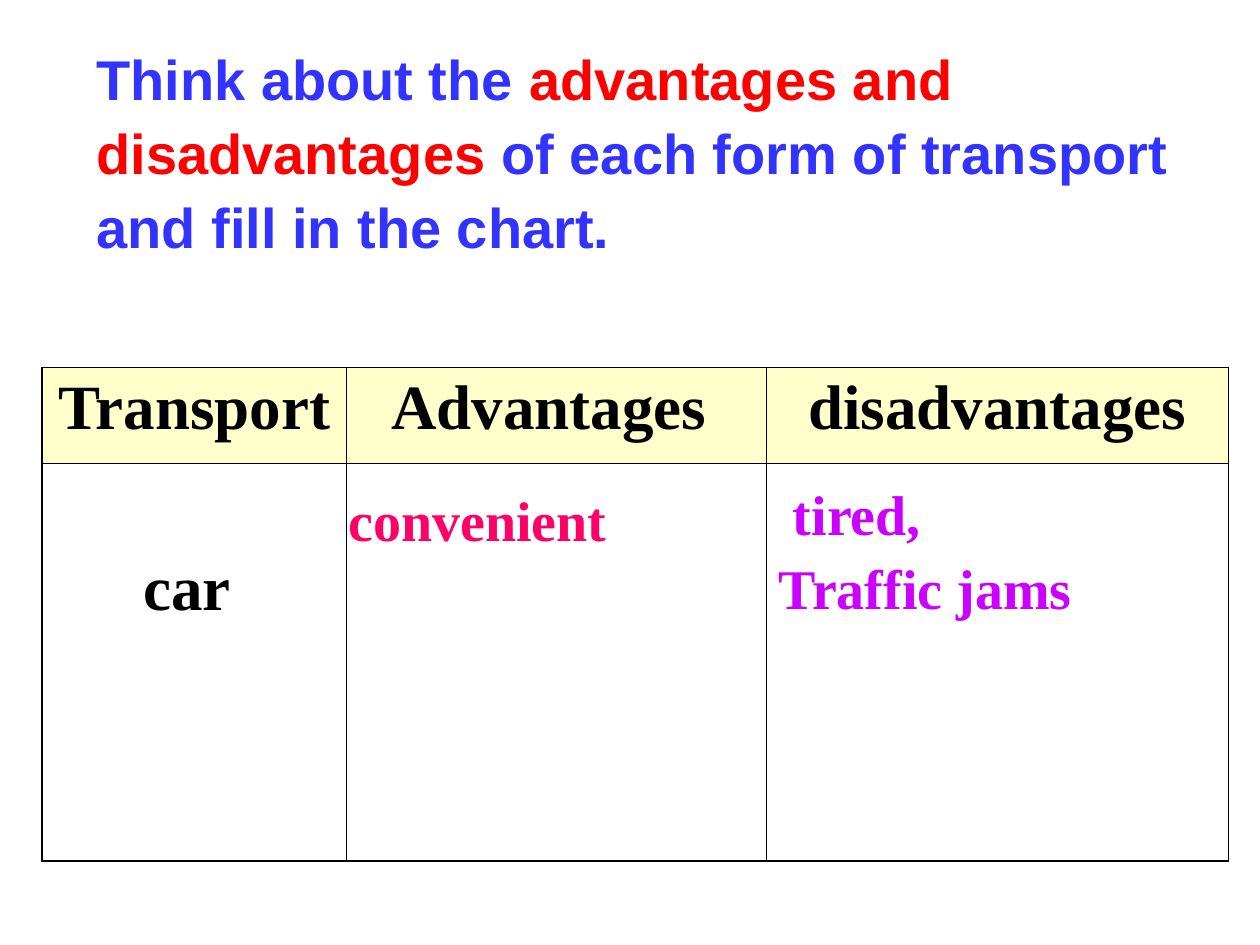
from lxml import etree
from pptx import Presentation
from pptx import util as u
from pptx.dml.color import RGBColor
from pptx.enum import text
from pptx.oxml.ns import qn

BLACK = RGBColor(0x00, 0x00, 0x00)
BLUE = RGBColor(0x33, 0x33, 0xFF)
RED = RGBColor(0xFF, 0x00, 0x00)
PINK = RGBColor(0xFF, 0x00, 0x66)
PURPLE = RGBColor(0xCC, 0x00, 0xFF)
CREAM = RGBColor(0xFF, 0xFF, 0xCC)

SANS, SERIF = "Arial", "Times New Roman"
OUTER, INNER = 1.08, 0.45
COLUMN_WIDTHS = [174, 240, 264]
ROW_HEIGHTS = [54.75, 227.25]
HEADERS = ["Transport ", "Advantages ", "disadvantages"]


def add_span(para, wording, font, size, color):
    span = para.add_run()
    span.text = wording
    span.font.name = font
    span.font.size = u.Pt(size)
    span.font.bold = True
    span.font.color.rgb = color


def add_text(slide, left, top, width, height, paragraphs, font, hanging=0):
    box = slide.shapes.add_textbox(u.Pt(left), u.Pt(top), u.Pt(width), u.Pt(height))
    frame = box.text_frame
    frame.word_wrap = True
    frame.auto_size = text.MSO_AUTO_SIZE.SHAPE_TO_FIT_TEXT
    for index, spans in enumerate(paragraphs):
        para = frame.add_paragraph() if index else frame.paragraphs[0]
        para.line_spacing = 1.1
        if hanging:
            properties = para._p.get_or_add_pPr()
            properties.set("marL", str(u.Pt(hanging)))
            properties.set("indent", str(-u.Pt(hanging)))
        for wording, color in spans:
            add_span(para, wording, font, 32, color)


def set_borders(cell, widths):
    properties = cell._tc.get_or_add_tcPr()
    for index, (side, width) in enumerate(zip(("lnL", "lnR", "lnT", "lnB"), widths)):
        line = etree.Element(qn(f"a:{side}"), w=str(u.Pt(width)))
        fill = etree.SubElement(line, qn("a:solidFill"))
        etree.SubElement(fill, qn("a:srgbClr"), val=str(BLACK))
        properties.insert(index, line)


def fill_cell(cell, wording):
    para = cell.text_frame.paragraphs[0]
    para.alignment = text.PP_ALIGN.CENTER
    add_span(para, wording, SERIF, 36, BLACK)


def add_transport_table(slide):
    rows, columns = len(ROW_HEIGHTS), len(COLUMN_WIDTHS)
    frame = slide.shapes.add_table(
        rows, columns, u.Pt(24), u.Pt(210),
        u.Pt(sum(COLUMN_WIDTHS)), u.Pt(sum(ROW_HEIGHTS)))
    table = frame.table
    for column, width in zip(table.columns, COLUMN_WIDTHS):
        column.width = u.Pt(width)
    for row, height in zip(table.rows, ROW_HEIGHTS):
        row.height = u.Pt(height)
    for r in range(rows):
        for c in range(columns):
            cell = table.cell(r, c)
            if r == 0:
                cell.fill.solid()
                cell.fill.fore_color.rgb = CREAM
                fill_cell(cell, HEADERS[c])
            else:
                cell.fill.background()
            edges = (c == 0, c == columns - 1, r == 0, r == rows - 1)
            set_borders(cell, [OUTER if edge else INNER for edge in edges])
    car = table.cell(1, 0)
    car.margin_top = u.Pt(52)
    fill_cell(car, "car ")


def main():
    deck = Presentation()
    deck.slide_width, deck.slide_height = u.Pt(720), u.Pt(540)
    slide = deck.slides.add_slide(deck.slide_layouts[6])
    add_text(slide, 48, 18, 636, 134, [[
        ("Think about the ", BLUE),
        ("advantages and disadvantages", RED),
        (" of each form of transport and fill in the chart.", BLUE),
    ]], SANS)
    add_transport_table(slide)
    add_text(slide, 192, 270, 252, 50, [[("convenient", PINK)]], SERIF, hanging=35)
    add_text(slide, 438, 266.5, 264, 92,
             [[(" tired,", PURPLE)], [("Traffic jams", PURPLE)]], SERIF, hanging=35)
    deck.save("out.pptx")


if __name__ == "__main__":
    main()
